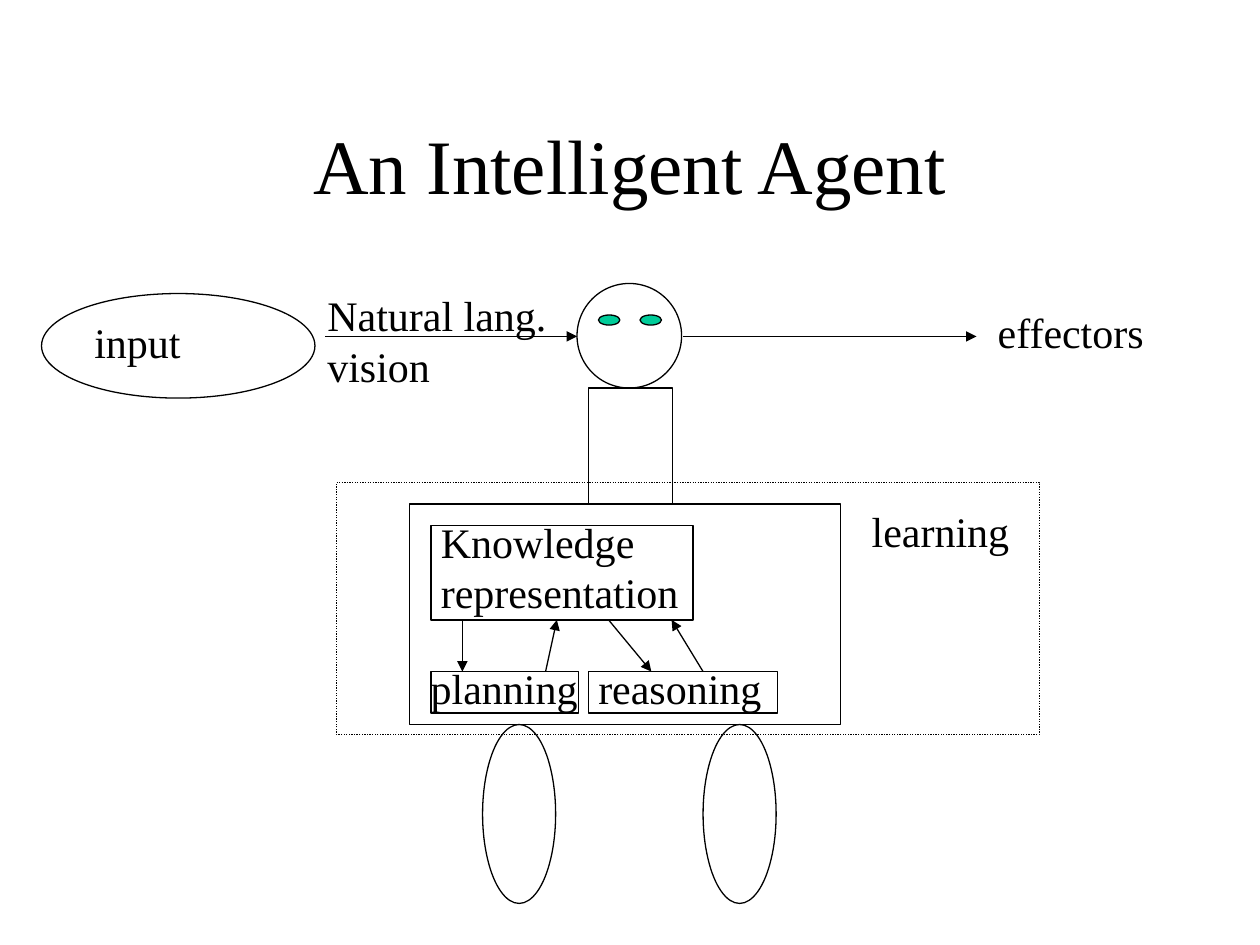
from lxml import etree
from pptx import Presentation
from pptx import util as u
from pptx.dml.color import RGBColor
from pptx.enum import dml, shapes, text
from pptx.oxml.ns import qn

COLORS = {"ink": "000000", "eye": "00CC99"}
FONT = "Times New Roman"
RECT = shapes.MSO_SHAPE.RECTANGLE
OVAL = shapes.MSO_SHAPE.OVAL


def color(name):
    return RGBColor.from_string(COLORS[name])


def set_line(line):
    line.color.rgb = color("ink")
    line.width = u.Pt(0.75)


def add_outline(s, kind, box, fill=None, dash=None):
    sp = s.shapes.add_shape(kind, *map(u.Inches, box))
    sp.shadow.inherit = False
    if fill:
        sp.fill.solid()
        sp.fill.fore_color.rgb = color(fill)
    else:
        sp.fill.background()
    set_line(sp.line)
    if dash:
        sp.line.dash_style = dash


def add_text(s, lines, box, size=24, title=False):
    tf = s.shapes.add_textbox(*map(u.Inches, box)).text_frame
    tf.word_wrap = title
    if title:
        tf.vertical_anchor = text.MSO_ANCHOR.MIDDLE
    else:
        tf.auto_size = text.MSO_AUTO_SIZE.SHAPE_TO_FIT_TEXT
    for i, line in enumerate(lines):
        p = tf.paragraphs[0] if i == 0 else tf.add_paragraph()
        p.alignment = text.PP_ALIGN.CENTER if title else text.PP_ALIGN.LEFT
        r = p.add_run()
        r.text = line
        r.font.name = FONT
        r.font.size = u.Pt(size)
        r.font.color.rgb = color("ink")


def add_arrow(s, x1, y1, x2, y2):
    c = s.shapes.add_connector(
        shapes.MSO_CONNECTOR.STRAIGHT, *map(u.Inches, (x1, y1, x2, y2)))
    set_line(c.line)
    ln = c.line._get_or_add_ln()
    etree.SubElement(ln, qn("a:tailEnd"), type="triangle")
    etree.SubElement(c._element.spPr, qn("a:effectLst"))


def add_body(s):
    add_outline(s, RECT, (3.25, 4, 3.42, 1.75))
    for x in (3.83, 5.58):
        add_outline(s, OVAL, (x, 5.75, 0.58, 1.42))
    add_outline(s, RECT, (4.67, 3.08, 0.67, 0.92))
    add_outline(s, OVAL, (4.58, 2.25, 0.83, 0.83))
    for x in (4.75, 5.08):
        add_outline(s, OVAL, (x, 2.5, 0.17, 0.08), fill="eye")


def add_mind(s):
    add_text(s, ["Knowledge", "representation"], (3.4, 4.05, 2.09, 0.9))
    add_outline(s, RECT, (3.42, 4.17, 2.08, 0.75))
    add_text(s, ["reasoning"], (4.65, 5.21, 1.5, 0.5))
    add_outline(s, RECT, (4.67, 5.33, 1.5, 0.33))
    add_text(s, ["planning"], (3.32, 5.21, 1.37, 0.5))
    add_outline(s, RECT, (3.42, 5.33, 1.17, 0.33))
    knowledge_bottom, skills_top = 4.92, 5.33
    for x1, x2 in ((3.67, 3.67), (4.83, 5.17)):
        add_arrow(s, x1, knowledge_bottom, x2, skills_top)
    for x1, x2 in ((4.33, 4.42), (5.58, 5.33)):
        add_arrow(s, x1, skills_top, x2, knowledge_bottom)
    add_outline(s, RECT, (2.67, 3.83, 5.58, 2),
                dash=dml.MSO_LINE.ROUND_DOT)
    add_text(s, ["learning"], (6.82, 3.96, 1.29, 0.5))


def add_senses(s):
    add_arrow(s, 2.58, 2.67, 4.58, 2.67)
    add_outline(s, OVAL, (0.33, 2.33, 2.17, 0.83))
    add_text(s, ["input"], (0.65, 2.46, 0.89, 0.5))
    add_text(s, ["Natural lang.", "vision"], (2.5, 2.25, 1.94, 0.9))
    add_arrow(s, 5.42, 2.67, 7.75, 2.67)
    add_text(s, ["effectors"], (7.82, 2.38, 1.37, 0.5))


def main():
    prs = Presentation()
    prs.slide_width, prs.slide_height = u.Inches(10), u.Inches(7.5)
    s = prs.slides.add_slide(prs.slide_layouts[6])
    add_text(s, ["An Intelligent Agent"], (0.75, 0.67, 8.5, 1.25),
             size=44, title=True)
    add_body(s)
    add_mind(s)
    add_senses(s)
    prs.save("out.pptx")


if __name__ == "__main__":
    main()
